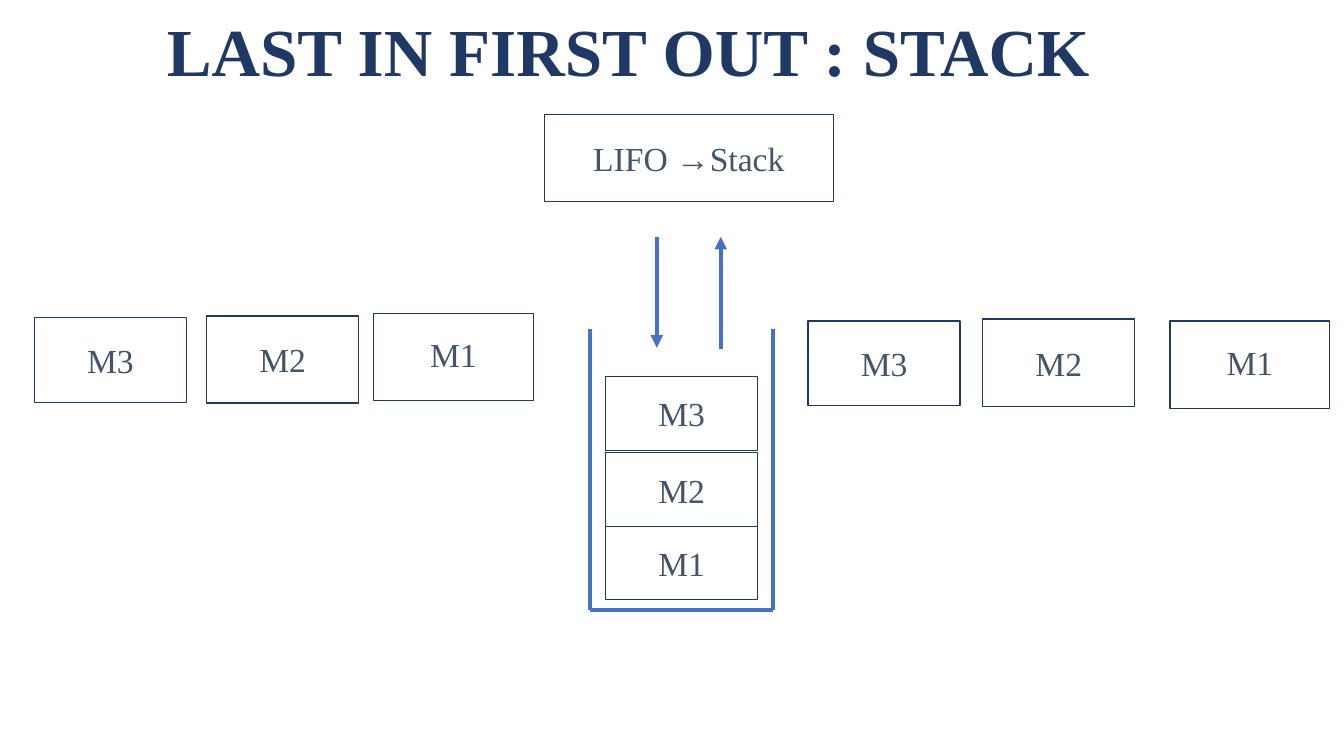
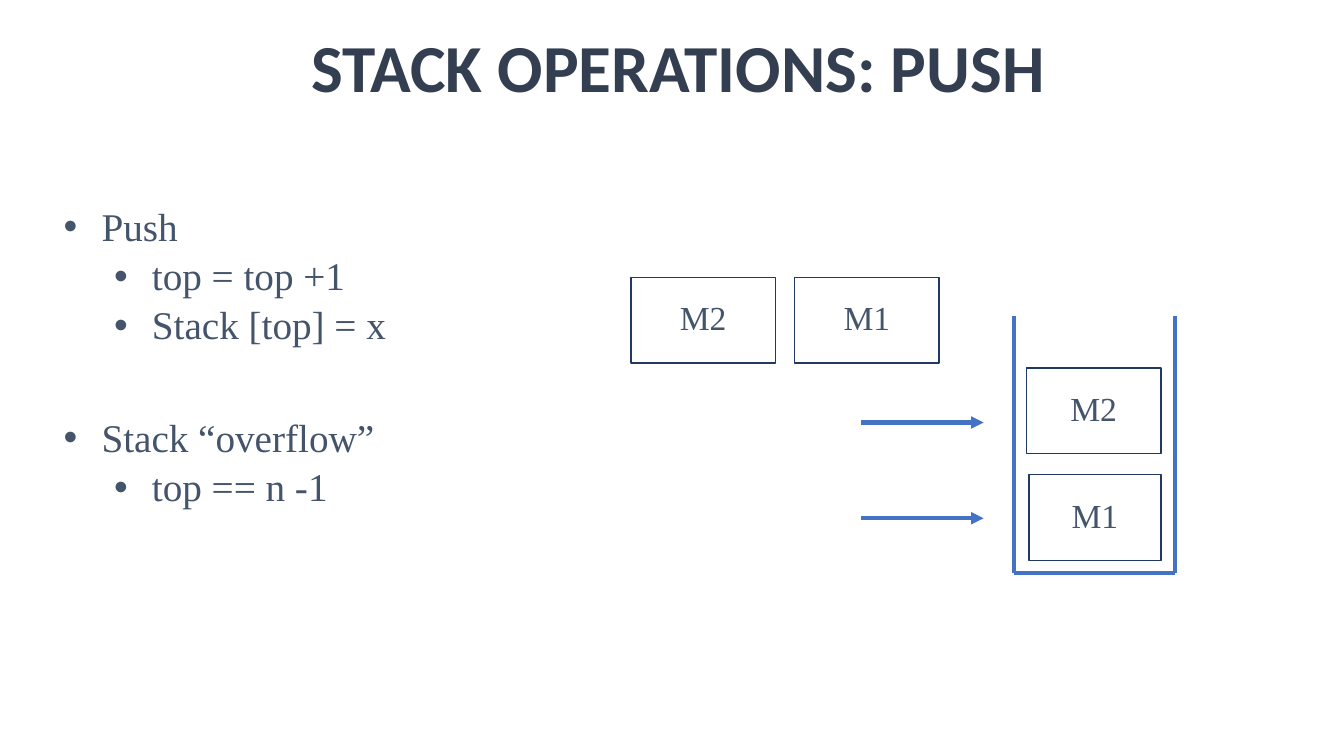
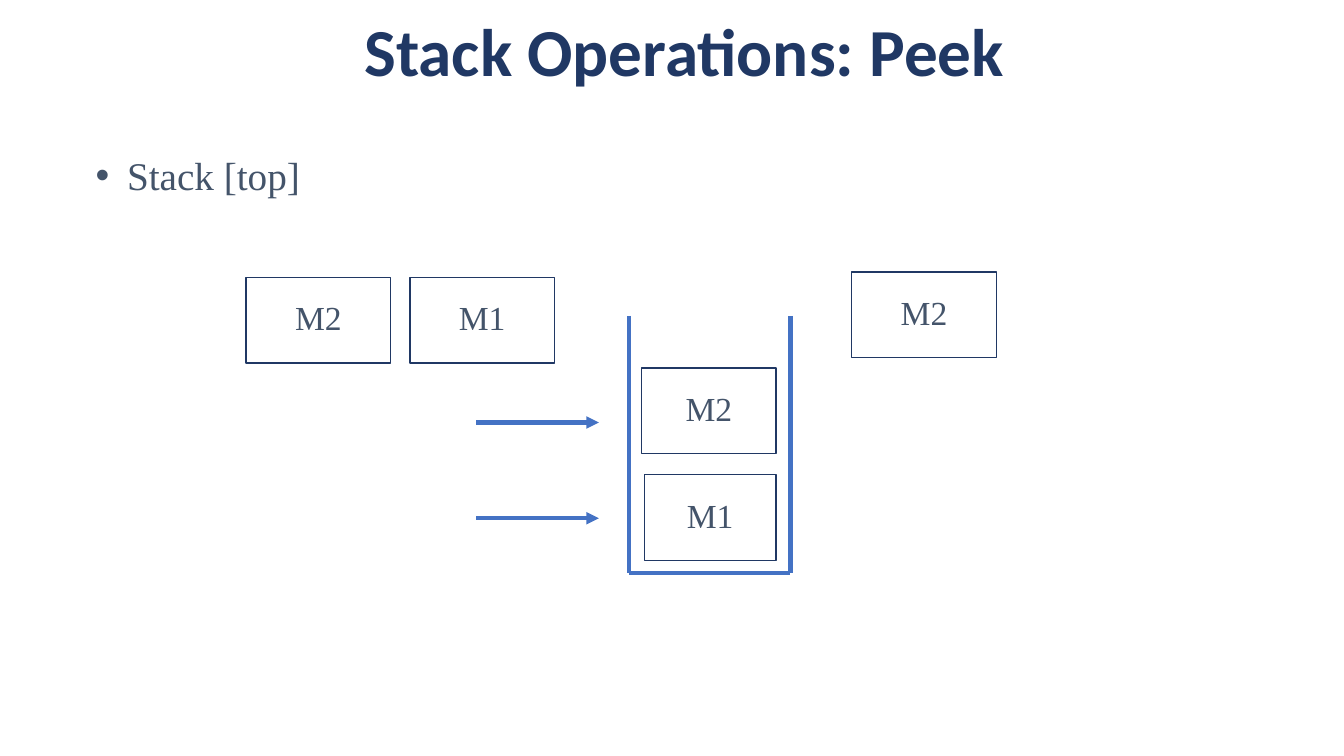
from lxml.etree import SubElement
from pptx import Presentation
from pptx.dml.color import RGBColor
from pptx.enum.shapes import MSO_CONNECTOR, MSO_SHAPE
from pptx.enum.text import MSO_ANCHOR, MSO_AUTO_SIZE, PP_ALIGN
from pptx.oxml.ns import qn
from pptx.util import Inches, Pt

# Grid: 160 columns by 90 rows of square cells
CELL = Inches(1) // 12
NAVY, SLATE, CHARCOAL, BLUE, WHITE = "203864", "44546A", "333F50", "4472C4", "FFFFFF"
SERIF, SANS = "Times New Roman", "Calibri"
hex_color = RGBColor.from_string


def add_box(slide, label, left, top, width, height, spacing=0.9):
    box = slide.shapes.add_shape(
        MSO_SHAPE.RECTANGLE, *(int(v * CELL) for v in (left, top, width, height)))
    box.shadow.inherit = False
    box.fill.solid()
    box.fill.fore_color.rgb = hex_color(WHITE)
    box.line.color.rgb = hex_color(NAVY)
    box.line.width = Pt(1)
    box.text_frame.vertical_anchor = MSO_ANCHOR.MIDDLE
    paragraph = box.text_frame.paragraphs[0]
    paragraph.text = label
    paragraph.alignment = PP_ALIGN.CENTER
    paragraph.line_spacing = spacing
    font = paragraph.runs[0].font
    font.name, font.size = SERIF, Pt(24)
    font.color.rgb = hex_color(SLATE)


def add_line(slide, x1, y1, x2, y2, arrow=False):
    line = slide.shapes.add_connector(
        MSO_CONNECTOR.STRAIGHT, *(int(v * CELL) for v in (x1, y1, x2, y2)))
    line.line.color.rgb = hex_color(BLUE)
    line.line.width = Pt(3)
    if arrow:
        SubElement(line.line._get_or_add_ln(), qn("a:tailEnd"), type="triangle")
    SubElement(line._element.spPr, qn("a:effectLst"))


deck = Presentation()
deck.slide_width, deck.slide_height = 160 * CELL, 90 * CELL

# Titles and open-topped stack containers: left, right, top, bottom
pages = [
    ("LAST IN FIRST OUT : STACK", SERIF, NAVY, (9.5, 1, 130.6, 10.4), (70.2, 92, 39.2, 72.6)),
    ("STACK OPERATIONS: PUSH", SANS, CHARCOAL, (6.4, 2.4, 148.7, 11), (120.7, 139.9, 37.6, 68.2)),
    ("Stack Operations: Peek", SANS, NAVY, (9.2, 1.3, 144.6, 10.2), (74.9, 94.1, 37.6, 68.2)),
]
for heading, typeface, color, area, (left, right, top, bottom) in pages:
    slide = deck.slides.add_slide(deck.slide_layouts[5])
    title = slide.shapes.title
    title.left, title.top, title.width, title.height = (int(v * CELL) for v in area)
    title.text_frame.text = heading
    title.text_frame.auto_size = MSO_AUTO_SIZE.NONE
    title.text_frame.vertical_anchor = MSO_ANCHOR.BOTTOM
    paragraph = title.text_frame.paragraphs[0]
    paragraph.alignment = PP_ALIGN.CENTER
    paragraph.line_spacing = 0.9
    font = paragraph.runs[0].font
    font.name, font.size, font.bold = typeface, Pt(48), True
    font.color.rgb = hex_color(color)

    add_line(slide, left, top, left, bottom)
    add_line(slide, right, top, right, bottom)
    add_line(slide, left, bottom, right, bottom)

lifo, push, peek = deck.slides

# LIFO: heading box, stacked items, items going in and coming out
add_box(lifo, "LIFO →Stack", 64.8, 13.6, 34.4, 10.4, 1)
for label, top in (("M1", 62.6), ("M2", 53.9), ("M3", 44.8)):
    add_box(lifo, label, 72.1, top, 18.1, 8.8, 1)
for m3, m2, m1 in (((4.1, 37.8), (24.6, 37.6), (44.5, 37.3)),
                   ((96.2, 38.2), (117, 38), (139.3, 38.2))):
    add_box(lifo, "M3", *m3, 18.1, 10.1, 1)
    add_box(lifo, "M2", *m2, 18.1, 10.4, 1)
    add_box(lifo, "M1", *m1, 19, 10.4)
add_line(lifo, 78.2, 28.2, 78.2, 41.4, arrow=True)
add_line(lifo, 85.8, 41.6, 85.8, 28.2, arrow=True)

# Push and peek: the same diagram, placed from the container's left wall
for slide, wall in ((push, 120.7), (peek, 74.9)):
    for label, offset, top, width in (("M1", -26.1, 33, 17.2), ("M2", -45.6, 33, 17.2),
                                      ("M1", 1.8, 56.5, 15.7), ("M2", 1.5, 43.8, 16)):
        add_box(slide, label, wall + offset, top, width, 10.2)
    for row in (50.3, 61.7):
        add_line(slide, wall - 18.2, row, wall - 3.6, row, arrow=True)
add_box(peek, "M2", 101.4, 32.4, 17.2, 10.2)

# Bullet lists: text, level, space before in points
push_steps = [("Push", 0, 0), ("top = top +1", 1, 5), ("Stack [top] = x", 1, 5),
              ("Stack “overflow”", 0, 50), ("top == n -1", 1, 5)]
for slide, area, hang, spacing, bullets in (
        (push, (6.4, 24.1, 147.2, 60), 4.5, 0.9, push_steps),
        (peek, (10.2, 17.4, 71.6, 6.8), 3.75, 1, [("Stack [top]", 0, 0)])):
    notes = slide.shapes.add_textbox(*(int(v * CELL) for v in area)).text_frame
    notes.word_wrap = True
    notes.text = "\n".join(text for text, _, _ in bullets)
    for paragraph, (_, level, before) in zip(notes.paragraphs, bullets):
        paragraph.level = level
        props = paragraph._p.get_or_add_pPr()
        props.set("marL", str(int((hang + 6 * level) * CELL)))
        props.set("indent", str(int(-hang * CELL)))
        SubElement(props, qn("a:buFont"), typeface="Arial")
        SubElement(props, qn("a:buChar"), char="•")
        paragraph.line_spacing = spacing
        paragraph.space_before = Pt(before)
        font = paragraph.runs[0].font
        font.name, font.size = SERIF, Pt(28)
        font.color.rgb = hex_color(SLATE)

deck.save("out.pptx")
